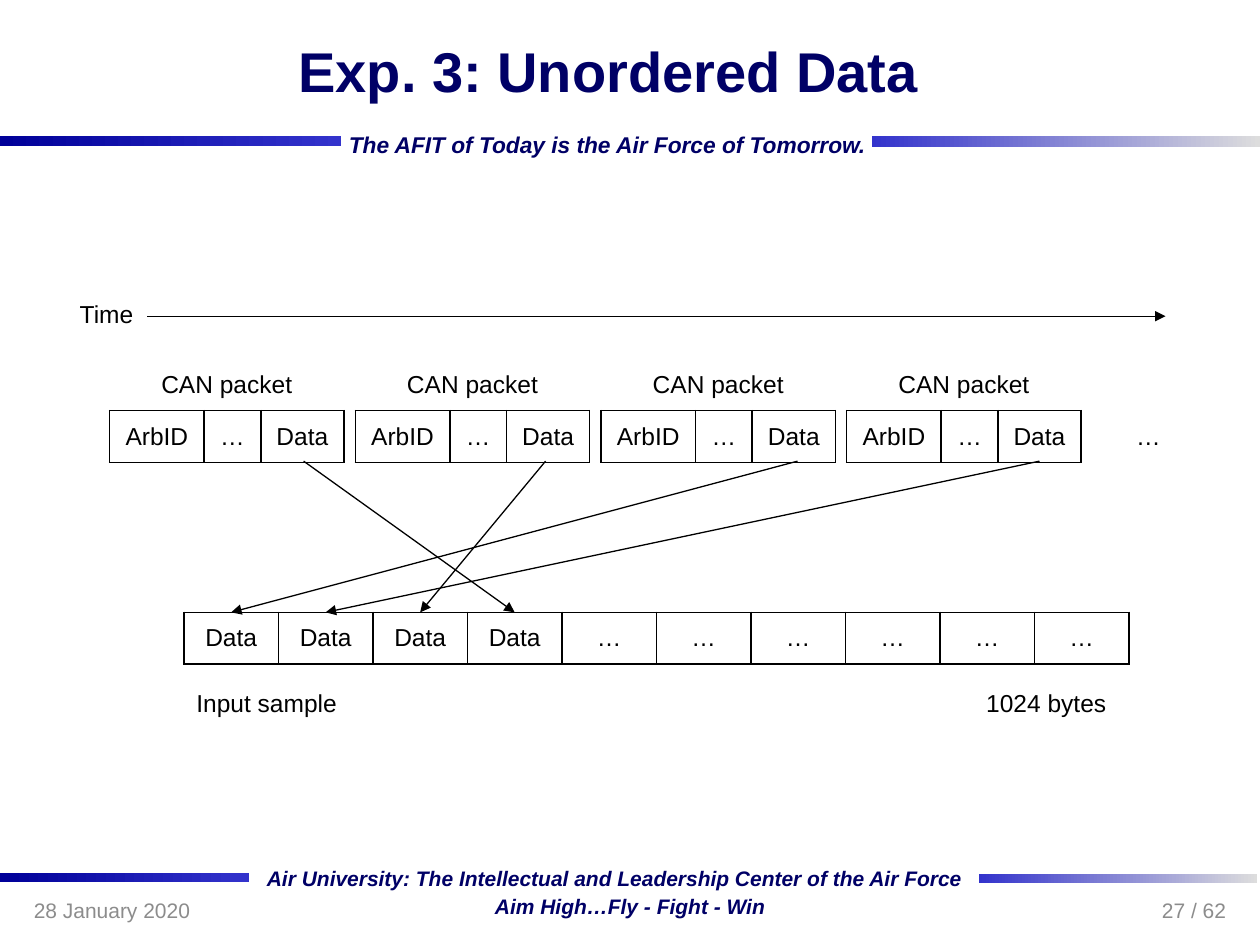
from dataclasses import dataclass

from lxml import etree
from pptx import Presentation
from pptx.dml.color import RGBColor
from pptx.enum.shapes import MSO_CONNECTOR, MSO_SHAPE
from pptx.enum.text import MSO_ANCHOR, PP_ALIGN
from pptx.oxml.ns import qn
from pptx.util import Inches, Pt

LEFT, CENTER, RIGHT = PP_ALIGN.LEFT, PP_ALIGN.CENTER, PP_ALIGN.RIGHT
TOP, MIDDLE = MSO_ANCHOR.TOP, MSO_ANCHOR.MIDDLE
STRAIGHT = MSO_CONNECTOR.STRAIGHT
RECT = MSO_SHAPE.RECTANGLE


@dataclass(frozen=True)
class Theme:
    font: str = "Arial"
    ink: str = "000000"
    navy: str = "000066"
    gray: str = "8C8C8C"
    dark: tuple = ("000099", "3333CC")
    light: tuple = ("3333CC", "DDDDDD")
    head: int = 32
    motto: int = 13
    body: int = 14
    foot: int = 12
    line: float = 0.75
    edge: float = 1


class Page:
    def __init__(self, deck, theme):
        self.theme = theme
        self.slide = deck.slides.add_slide(deck.slide_layouts[5])
        self.shapes = self.slide.shapes

    def style(self, frame, size, color, align, bold=False, italic=False):
        for par in frame.paragraphs:
            par.alignment = align
            for run in par.runs:
                font = run.font
                font.name, font.size = self.theme.font, Pt(size)
                font.bold, font.italic = bold, italic
                font.color.rgb = RGBColor.from_string(color)

    def title(self, text, box):
        shape = self.shapes.title
        shape.left, shape.top, shape.width, shape.height = map(Inches, box)
        frame = shape.text_frame
        frame.text = text
        frame.vertical_anchor = MIDDLE
        self.style(frame, self.theme.head, self.theme.navy, CENTER, bold=True)

    def text(self, text, box, size, color, align=LEFT, anchor=TOP,
             wrap=False, slant=False):
        frame = self.shapes.add_textbox(*map(Inches, box)).text_frame
        frame.text = text
        frame.word_wrap = wrap
        frame.vertical_anchor = anchor
        self.style(frame, size, color, align, bold=slant, italic=slant)

    def bar(self, box, colors):
        shape = self.shapes.add_shape(RECT, *map(Inches, box))
        shape.shadow.inherit = False
        shape.line.fill.background()
        shape.fill.gradient()
        shape.fill.gradient_angle = 0
        for stop, color, place in zip(shape.fill.gradient_stops, colors, (0, 1)):
            stop.color.rgb = RGBColor.from_string(color)
            stop.position = place

    def arrow(self, start, end):
        link = self.shapes.add_connector(STRAIGHT, *map(Inches, start + end))
        link.line.color.rgb = RGBColor.from_string(self.theme.ink)
        link.line.width = Pt(self.theme.line)
        line = link.line._get_or_add_ln()
        etree.SubElement(line, qn("a:tailEnd"), type="triangle")
        etree.SubElement(link._element.spPr, qn("a:effectLst"))

    def border(self, cell, sides):
        props = cell._tc.get_or_add_tcPr()
        for side in sides:
            line = etree.SubElement(props, qn(f"a:ln{side}"),
                                    w=str(Pt(self.theme.edge)))
            fill = etree.SubElement(line, qn("a:solidFill"))
            etree.SubElement(fill, qn("a:srgbClr"), val=self.theme.ink)

    def table(self, rows, spot, widths, height, sides):
        size = (sum(widths), height * len(rows))
        table = self.shapes.add_table(
            len(rows), len(widths), *map(Inches, spot + size)).table
        table.first_row = table.horz_banding = False
        for col, width in zip(table.columns, widths):
            col.width = Inches(width)
        for row, words, edges in zip(table.rows, rows, sides):
            row.height = Inches(height)
            for cell, word in zip(row.cells, words):
                cell.text = word
                cell.vertical_anchor = MIDDLE
                self.border(cell, edges)
                cell.fill.background()
                self.style(cell.text_frame, self.theme.body, self.theme.ink, CENTER)
        if len(rows) > 1:
            table.cell(0, 0).merge(table.cell(0, len(widths) - 1))


def main():
    deck = Presentation()
    deck.slide_width, deck.slide_height = Inches(10), Inches(7.5)
    theme = Theme()
    page = Page(deck, theme)

    page.bar((0, 6.93, 1.98, 0.07), theme.dark)
    page.bar((7.77, 6.94, 2.21, 0.07), theme.light)
    page.bar((6.92, 1.08, 3.08, 0.09), theme.light)
    page.bar((0, 1.08, 2.71, 0.08), theme.dark)
    mottos = (
        ("Air University: The Intellectual and Leadership Center of the Air Force",
         (2.02, 6.82, 5.76, 0.29), theme.foot),
        ("Aim High…Fly - Fight - Win", (3.83, 7.04, 2.36, 0.29), theme.foot),
        ("The AFIT of Today is the Air Force of Tomorrow.",
         (2.67, 0.99, 4.35, 0.31), theme.motto),
    )
    for words, box, size in mottos:
        page.text(words, box, size, theme.navy, slant=True)
    page.title("Exp. 3: Unordered Data", (0.58, 0, 8.5, 1.12))

    tall, top, low = 0.41, 2.85, 4.86
    parts = (0.75, 0.45, 0.66)
    page.table((("", "", ""), ("", "…", "")), (8.14, top), parts, tall, ("", ""))
    packet = (("CAN packet", "", ""), ("ArbID", "…", "Data"))
    for i in range(4):
        page.table(packet, (0.87 + 1.95 * i, top), parts, tall, ("B", "LRTB"))

    left, wide = 1.46, 0.75
    sample = ("Data",) * 4 + ("…",) * 6
    page.table((sample,), (left, low), (wide,) * len(sample), tall, ("LRTB",))

    for start, slot in zip((2.41, 4.33, 6.33, 8.25), (3, 2, 0, 1)):
        page.arrow((start, 3.66), (left + wide * (slot + 0.5), low))

    page.text("Time", (0.47, 2.29, 0.75, 0.4), theme.body, theme.ink,
              CENTER, MIDDLE, wrap=True)
    page.arrow((1.17, 2.51), (9.25, 2.51))
    page.text("Input sample", (left, 5.41, 1.32, 0.34), theme.body, theme.ink)
    page.text("1024 bytes", (7.72, 5.41, 1.16, 0.34), theme.body, theme.ink, RIGHT)
    for words, x, align in (("28 January 2020", 0.17, LEFT), ("27 / 62", 7.5, RIGHT)):
        page.text(words, (x, 7.02, 2.33, 0.4), theme.foot, theme.gray,
                  align, MIDDLE, wrap=True)

    deck.save("out.pptx")


if __name__ == "__main__":
    main()
